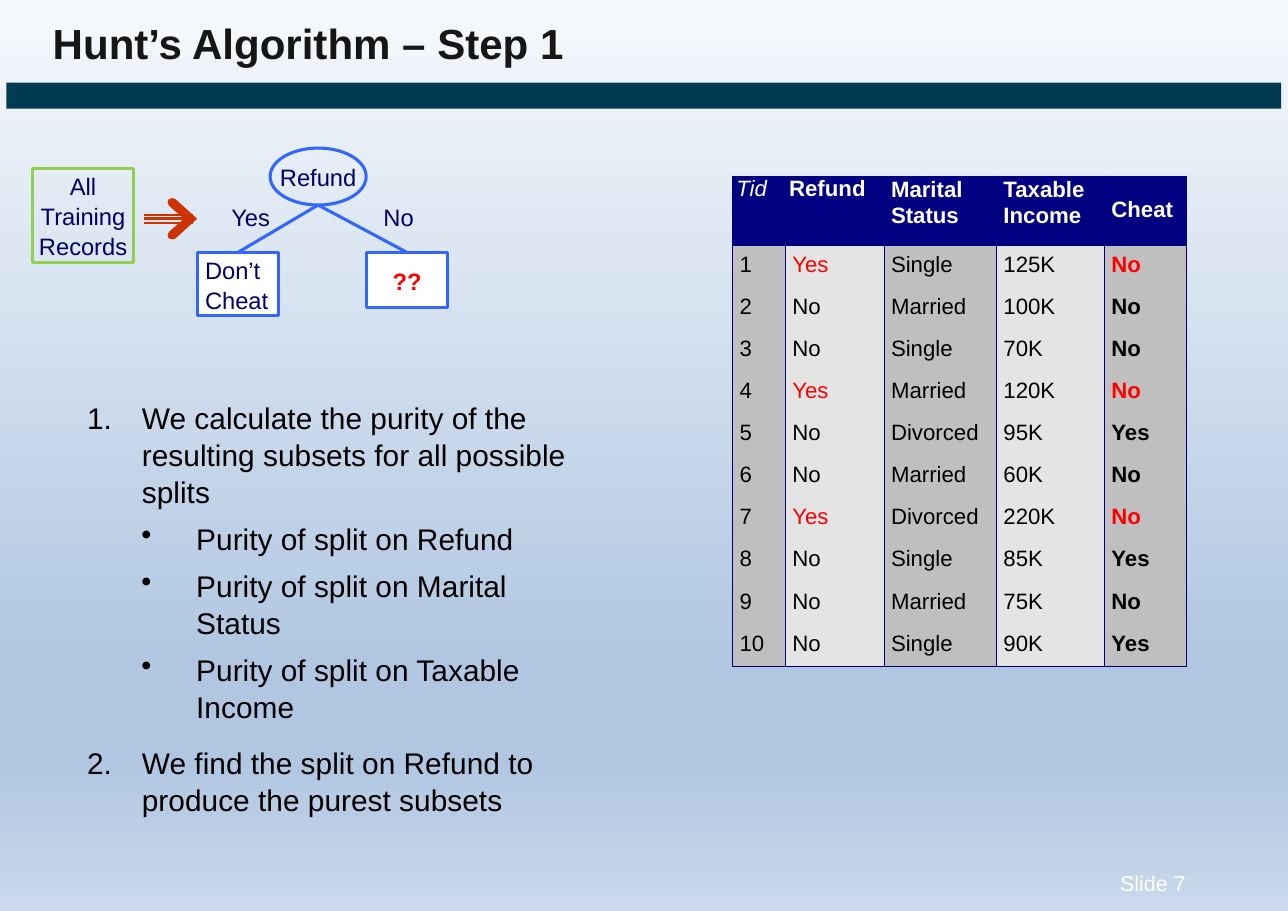
from dataclasses import dataclass
from copy import deepcopy
from lxml.etree import SubElement
from pptx import Presentation
from pptx.dml.color import RGBColor
from pptx.enum.shapes import MSO_CONNECTOR as Connector, MSO_SHAPE as Shape
from pptx.enum.text import MSO_ANCHOR as Anchor, PP_ALIGN as Align
from pptx.oxml.ns import qn
from pptx.util import Pt


@dataclass(frozen=True)
class Theme:
    font: str = "Arial"
    title_size: float = 27.5
    body_size: float = 19.5
    node_size: float = 15.5
    table_size: float = 14.5
    footer_size: float = 14
    title: str = "161616"
    band: str = "003B52"
    node_text: str = "000066"
    node_line: str = "3366FF"
    records_line: str = "91CF50"
    arrow: str = "CC3300"
    header: str = "000080"
    dark_column: str = "BFBFBF"
    light_column: str = "E4E4E4"
    alert: str = "FF0000"
    black: str = "000000"
    white: str = "FFFFFF"
    sky: tuple = ((0, "F6F9FC"), (0.74, "B0C6E1"), (0.83, "B0C6E1"), (1, "CAD9EB"))


theme = Theme()
rgb = RGBColor.from_string


def write(frame, text, size, color, bold=False, italic=False, align=Align.LEFT,
          left=0, top=0, spacing=None, wrap=True, anchor=Anchor.TOP):
    frame.margin_left, frame.margin_top = Pt(left), Pt(top)
    frame.margin_right = frame.margin_bottom = 0
    frame.word_wrap = wrap
    frame.vertical_anchor = anchor
    frame.text = text
    for paragraph in frame.paragraphs:
        paragraph.alignment = align
        paragraph.line_spacing = spacing
        font = paragraph.runs[0].font
        font.name, font.size, font.bold, font.italic = theme.font, Pt(size), bold, italic
        font.color.rgb = rgb(color)


def paint(shape, fill=None, line=None):
    shape.shadow.inherit = False
    if fill:
        shape.fill.solid()
        shape.fill.fore_color.rgb = rgb(fill)
    else:
        shape.fill.background()
    if line:
        shape.line.color.rgb = rgb(line)
        shape.line.width = Pt(2)
    else:
        shape.line.fill.background()


presentation = Presentation()
presentation.slide_width, presentation.slide_height = Pt(841.7), Pt(595.4)
slide = presentation.slides.add_slide(presentation.slide_layouts[6])
shapes = slide.shapes

background = slide.background.fill
background.gradient()
background.gradient_angle = 270
stop_list = slide.element.find(".//" + qn("a:gsLst"))
for _ in range(2):
    stop_list.append(deepcopy(stop_list[0]))
for stop, (position, color) in zip(background.gradient_stops, theme.sky):
    stop.position = position
    stop.color.rgb = rgb(color)

band = shapes.add_shape(Shape.RECTANGLE, Pt(4.2), Pt(54), Pt(833), Pt(17))
paint(band, theme.band)

labels = [
    ("Hunt’s Algorithm – Step 1", 34.5, 8.6, 723, 37, theme.title_size, theme.title, True, 3),
    ("Yes", 151.2, 130.3, 27, 21, theme.node_size, theme.node_text, False, 2),
    ("No", 250.6, 130.3, 22, 21, theme.node_size, theme.node_text, False, 2),
    ("Slide 7", 732, 568.8, 55, 17, theme.footer_size, theme.white, False, 0),
]
for text, left, top, width, height, size, color, bold, inset in labels:
    label = shapes.add_textbox(Pt(left), Pt(top), Pt(width), Pt(height))
    write(label.text_frame, text, size, color, bold, top=inset, wrap=False)

nodes = [
    ("All Training Records", Shape.RECTANGLE, 21.3, 110, 66, 61.8, None,
     theme.records_line, theme.node_text, Align.CENTER, 0),
    ("Refund", Shape.OVAL, 176.5, 96.8, 62.8, 37.2, None,
     theme.node_line, theme.node_text, Align.CENTER, 0),
    ("Don’t Cheat", Shape.RECTANGLE, 129, 165, 53, 41.2, theme.white,
     theme.node_line, theme.node_text, Align.LEFT, 5),
    ("??", Shape.RECTANGLE, 239.5, 165, 53, 36, theme.white,
     theme.node_line, theme.alert, Align.CENTER, 0),
]
tree = {}
for text, kind, left, top, width, height, fill, line, color, align, inset in nodes:
    node = shapes.add_shape(kind, Pt(left), Pt(top), Pt(width), Pt(height))
    paint(node, fill, line)
    write(node.text_frame, text, theme.node_size, color, text == "??", align=align,
          left=inset, spacing=1.05, wrap=kind == Shape.RECTANGLE, anchor=Anchor.MIDDLE)
    tree[text] = node

root = tree["Refund"]
for leaf in ("Don’t Cheat", "??"):
    branch = shapes.add_connector(Connector.STRAIGHT, root.left + root.width // 2,
                                  root.top + root.height, 0, 0)
    branch.end_connect(tree[leaf], 0)
    branch.line.color.rgb = rgb(theme.node_line)
    branch.line.width = Pt(2)
    SubElement(branch.element.spPr, qn("a:effectLst"))

axis = 143
upper_head = [(120.2, 0), (110.5, -8.5), (109.5, -10.5), (110.2, -12.7), (112.3, -13.5), (114.5, -13)]
lower_head = [(x, -y) for x, y in reversed(upper_head[1:])]
outlines = [upper_head + [(128.8, 0)] + lower_head]
for middle, thickness in ((-2.7, 1.2), (0, 2), (2.7, 1.2)):
    top, bottom = middle - thickness / 2, middle + thickness / 2
    outlines.append([(94.4, top), (126, top), (126, bottom), (94.4, bottom)])
for outline in outlines:
    points = [(Pt(x), Pt(axis + y)) for x, y in outline]
    builder = shapes.build_freeform(*points[0])
    builder.add_line_segments(points[1:], close=True)
    paint(builder.convert_to_shape(), theme.arrow)

headers = ["Tid", "Refund", "Marital Status", "Taxable Income", "Cheat"]
records = [
    ("Yes", "Single", "125K", "No"),
    ("No", "Married", "100K", "No"),
    ("No", "Single", "70K", "No"),
    ("Yes", "Married", "120K", "No"),
    ("No", "Divorced", "95K", "Yes"),
    ("No", "Married", "60K", "No"),
    ("Yes", "Divorced", "220K", "No"),
    ("No", "Single", "85K", "Yes"),
    ("No", "Married", "75K", "No"),
    ("No", "Single", "90K", "Yes"),
]
rows = [headers] + [(str(tid), *record) for tid, record in enumerate(records, 1)]
column_widths = [34.5, 64.5, 73.5, 70.5, 53.5]
header_insets = [(2.2, 0), (2.2, 0), (4.3, 0.7), (4.3, 0.7), (4.3, 14.2)]
table_frame = shapes.add_table(len(rows), len(headers), Pt(479), Pt(114.8),
                               Pt(sum(column_widths)), Pt(321))
table = table_frame.table
table.first_row = table.horz_banding = False
style = table_frame.element.find(".//" + qn("a:tableStyleId"))
style.text = "{2D5ABB26-0587-4C30-8999-92F81FD0307C}"
for column, width in zip(table.columns, column_widths):
    column.width = Pt(width)
for r, row in enumerate(rows):
    table.rows[r].height = Pt(27.52 if r else 45.8)
    for c, text in enumerate(row):
        cell = table.cell(r, c)
        properties = cell._tc.get_or_add_tcPr()
        sides = ["a:lnL", "a:lnR"] + (["a:lnB"] if r == len(records) else [])
        for side in sides:
            thick = r and (c, side) in ((3, "a:lnR"), (4, "a:lnL"))
            border = SubElement(properties, qn(side), w=str(Pt(1 if thick else 0.75)))
            SubElement(SubElement(border, qn("a:solidFill")), qn("a:srgbClr"), val=theme.header)
        cell.fill.solid()
        if r == 0:
            fill, color, bold, insets = theme.header, theme.white, c > 0, header_insets[c]
        else:
            fill = theme.light_column if c % 2 else theme.dark_column
            color = theme.alert if row[1] == "Yes" and c in (1, 4) else theme.black
            bold, insets = c == 4, (4.3, 4.3)
        cell.fill.fore_color.rgb = rgb(fill)
        cell.margin_left, cell.margin_top = Pt(insets[0]), Pt(insets[1])
        cell.margin_right = cell.margin_bottom = 0
        cell.text_frame.text = text
        paragraph = cell.text_frame.paragraphs[0]
        if r == 0 and c < 4:
            paragraph.line_spacing = Pt(17)
        font = paragraph.runs[0].font
        font.name, font.size, font.bold = theme.font, Pt(theme.table_size), bold
        font.italic = text == "Tid"
        font.color.rgb = rgb(color)

steps = [
    (0, "We calculate the purity of the resulting subsets for all possible splits", 0),
    (1, "Purity of split on Refund", 6.3),
    (1, "Purity of split on Marital Status", 6.3),
    (1, "Purity of split on Taxable Income", 6.3),
    (0, "We find the split on Refund to produce the purest subsets", 12),
]
body = shapes.add_textbox(Pt(56.2), Pt(258.5), Pt(326), Pt(270))
write(body.text_frame, "\n".join(text for _, text, _ in steps), theme.body_size,
      theme.black, top=1.5, spacing=1.04)
for paragraph, (level, _, gap) in zip(body.text_frame.paragraphs, steps):
    paragraph.level = level
    paragraph.space_before = Pt(gap)
    properties = paragraph._p.get_or_add_pPr()
    properties.set("marL", str(Pt(72 if level else 36.5)))
    properties.set("indent", str(Pt(-35.8)))
    if level:
        SubElement(properties, qn("a:buChar"), char="•")
    else:
        SubElement(properties, qn("a:buAutoNum"), type="arabicPeriod")

presentation.save("out.pptx")
